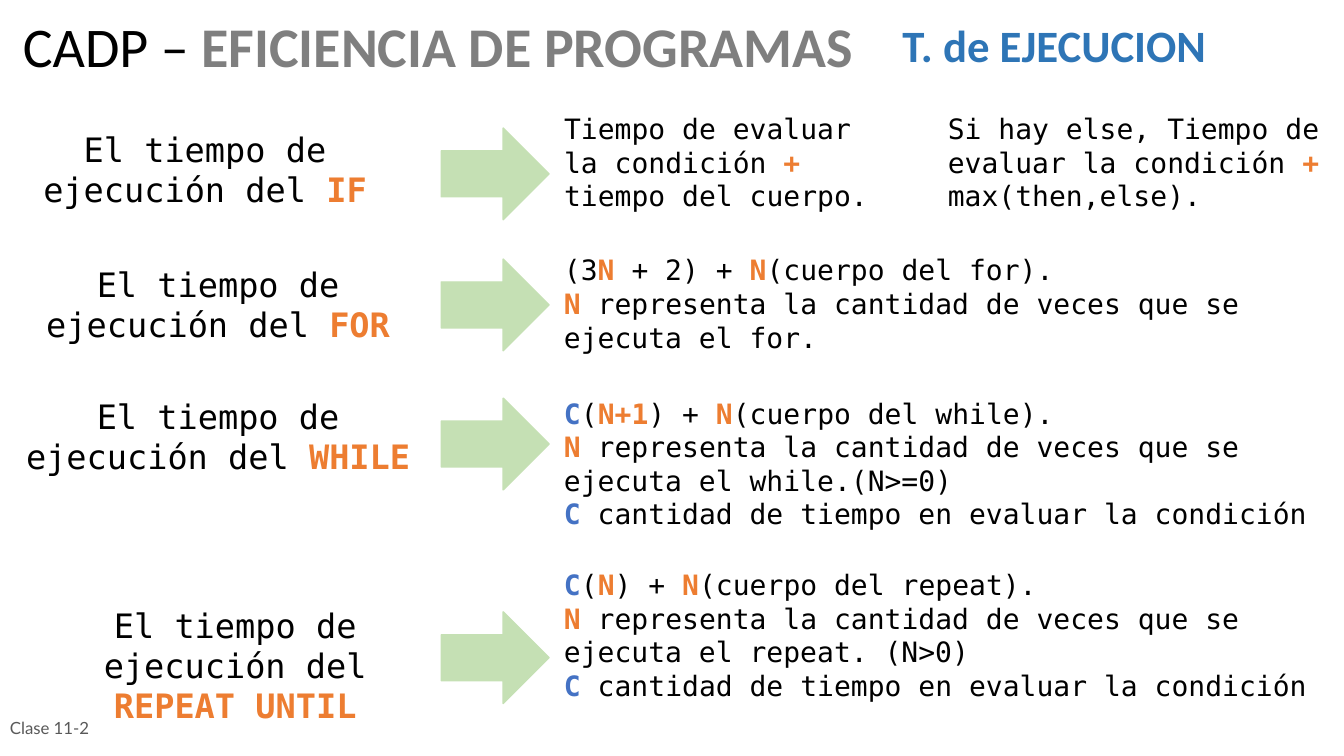
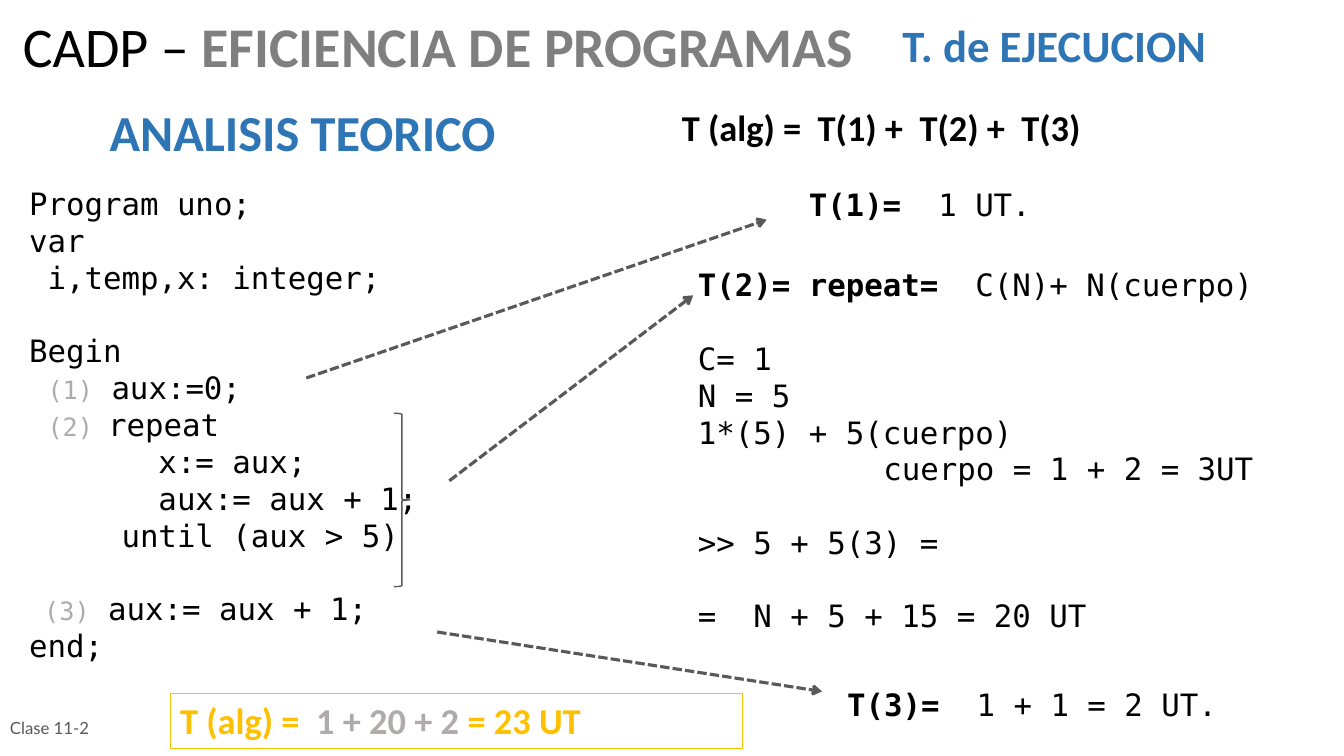
from dataclasses import dataclass
from typing import NamedTuple, Optional, Union

from lxml.etree import SubElement
from pptx import Presentation
from pptx.dml.color import RGBColor
from pptx.enum.dml import MSO_LINE as Dash
from pptx.enum.shapes import MSO_CONNECTOR as Link, MSO_SHAPE as Shape
from pptx.enum.text import MSO_ANCHOR as Anchor, PP_ALIGN as Align
from pptx.oxml.ns import qn
from pptx.util import Inches, Pt


@dataclass(frozen=True)
class Theme:
    """Fonts, colours and type sizes of both slides."""
    head: str = "Calibri"
    mono: str = "DejaVu Sans Mono"
    foot: str = "Lato"
    black: str = "000000"
    gray: str = "7F7F7F"
    pale: str = "AFABAB"
    dark: str = "595959"
    blue: str = "2E75B6"
    cost: str = "4472C4"
    orange: str = "ED7D31"
    green: str = "C5E0B4"
    gold: str = "FFC000"
    title: int = 40
    banner: int = 36
    topic: int = 32
    sum: int = 26
    lead: int = 24
    code: int = 22
    rule: int = 20
    mark: int = 18
    small: int = 12
    skip: int = 26  # height of one empty code line


THEME = Theme()


class Box(NamedTuple):
    left: float
    top: float
    width: float
    height: float


class Run(NamedTuple):
    text: str
    color: str
    bold: Optional[bool] = None
    size: Optional[int] = None


class Line(NamedTuple):
    pieces: tuple
    gap: float = 0
    indent: float = 0


class Rule(NamedTuple):
    """A statement, its arrow and the cost formulas beside it."""
    name: str
    label: Box
    arrow: float
    costs: tuple


class Arrow(NamedTuple):
    x1: float
    y1: float
    x2: float
    y2: float


def line(*pieces: Union[str, Run], gap: float = 0, indent: float = 0) -> Line:
    return Line(pieces, gap, indent)


def rgb(code: str) -> RGBColor:
    return RGBColor.from_string(code)


def place(box: Box) -> list:
    return [Inches(side) for side in box]


# Text and shapes

def write(shape, *lines: Line, size: int, font: str = THEME.mono,
          color: str = THEME.black, bold: bool = False, align=Align.LEFT,
          anchor=Anchor.TOP, pitch: float = 1.0) -> None:
    frame = shape.text_frame
    frame.word_wrap = True
    frame.vertical_anchor = anchor
    for index, item in enumerate(lines):
        para = frame.add_paragraph() if index else frame.paragraphs[0]
        para.alignment = align
        para.line_spacing = pitch
        if item.gap:
            para.space_before = Pt(item.gap)
        if item.indent:
            para._p.get_or_add_pPr().set("marL", str(Inches(item.indent)))
        for piece in item.pieces:
            if isinstance(piece, str):
                piece = Run(piece, color)
            run = para.add_run()
            run.text = piece.text
            run.font.name = font
            run.font.size = Pt(piece.size or size)
            run.font.bold = bold if piece.bold is None else piece.bold
            run.font.color.rgb = rgb(piece.color)


def label(slide, box: Box, *lines: Line, **style) -> None:
    write(slide.shapes.add_textbox(*place(box)), *lines, **style)


def draw(slide, kind, box: Box, edge: str, width: float,
         fill: Optional[str] = None):
    shape = slide.shapes.add_shape(kind, *place(box))
    shape.shadow.inherit = False
    if fill:
        shape.fill.solid()
        shape.fill.fore_color.rgb = rgb(fill)
    else:
        shape.fill.background()
    shape.line.color.rgb = rgb(edge)
    shape.line.width = Pt(width)
    return shape


def point(slide, arrow: Arrow) -> None:
    link = slide.shapes.add_connector(
        Link.STRAIGHT, *[Inches(side) for side in arrow])
    link.line.color.rgb = rgb(THEME.dark)
    link.line.width = Pt(2.25)
    link.line.dash_style = Dash.SQUARE_DOT
    SubElement(link.line._get_or_add_ln(), qn("a:tailEnd"), type="arrow")
    SubElement(link._element.spPr, qn("a:effectLst"))


def start(deck):
    """Add a slide with the shared title, topic and footer."""
    slide = deck.slides.add_slide(deck.slide_layouts[6])
    label(slide, Box(0.13, 0.14, 9.37, 0.76),
          line("CADP – ", Run("EFICIENCIA DE PROGRAMAS", THEME.gray, True)),
          size=THEME.title, font=THEME.head, pitch=0.9)
    label(slide, Box(0, 7.02, 2.33, 0.4), line("Clase 11-2"),
          size=THEME.small, font=THEME.foot, color=THEME.dark,
          anchor=Anchor.MIDDLE)
    label(slide, Box(8.86, 0.13, 3.4, 0.64), line("T. de EJECUCION"),
          size=THEME.topic, font=THEME.head, color=THEME.blue, bold=True)
    return slide


# Cost rules

def hot(text: str) -> Run:
    return Run(text, THEME.orange, True)


N = hot("N")
PLUS = hot("+")
C = Run("C", THEME.cost, True)
COUNT = " representa la cantidad de veces que se ejecuta el "
TEST = line(C, " cantidad de tiempo en evaluar la condición")

RULES = (
    Rule("IF", Box(0, 1.23, 4.07, 0.9), 1.27, (
        (Box(5.5, 1.06, 3.45, 1.1),
         line("Tiempo de evaluar la condición ", PLUS,
              " tiempo del cuerpo.")),
        (Box(9.31, 1.06, 3.89, 1.1),
         line("Si hay else, Tiempo de evaluar la condición ", PLUS,
              " max(then,else).")))),
    Rule("FOR", Box(0.13, 2.57, 4.07, 0.9), 2.57, (
        (Box(5.5, 2.46, 7.7, 1.1),
         line("(3", N, " + 2) + ", N, "(cuerpo del for)."),
         line(N, COUNT + "for.")),)),
    Rule("WHILE", Box(0.13, 3.88, 4.07, 0.9), 3.95, (
        (Box(5.5, 3.88, 7.73, 1.44),
         line(C, "(", hot("N+1"), ") + ", N, "(cuerpo del while)."),
         line(N, COUNT + "while.(N>=0)"), TEST),)),
    Rule("REPEAT UNTIL", Box(0.3, 5.95, 4.07, 1.3), 6.07, (
        (Box(5.5, 5.58, 7.7, 1.44),
         line(C, "(", N, ") + ", N, "(cuerpo del repeat)."),
         line(N, COUNT + "repeat. (N>0)"), TEST),)),
)


def rules(deck) -> None:
    slide = start(deck)
    for rule in RULES:
        label(slide, rule.label,
              line("El tiempo de ejecución del ", hot(rule.name)),
              size=THEME.lead, align=Align.CENTER)
        draw(slide, Shape.RIGHT_ARROW, Box(4.38, rule.arrow, 1.07, 0.91),
             THEME.green, 1, THEME.green)
        for box, *lines in rule.costs:
            label(slide, box, *lines, size=THEME.rule)


# Worked example

def mark(text: str) -> Run:
    return Run(text, THEME.pale, size=THEME.mark)


def strong(text: str) -> Run:
    return Run(text, THEME.black, True)


CODE = (
    line("Program uno;"),
    line("var"),
    line(" i,temp,x: integer;"),
    line("Begin", gap=THEME.skip),
    line(" ", mark("(1)"), " aux:=0;"),
    line(" ", mark("(2) "), "repeat"),
    line("       x:= aux;"),
    line("       aux:= aux + 1;"),
    line("     until (aux > 5)"),
    line(mark(" (3)"), " aux:= aux + 1;", gap=THEME.skip),
    line("end;"),
)
STEPS = (
    (Box(7.93, 1.79, 5.26, 0.47), line(strong("T(1)= "), " 1 UT.")),
    (Box(6.83, 2.59, 6.14, 3.77),
     line(strong("T(2)= repeat=  "), "C(N)+ N(cuerpo)"),
     line("C= 1", gap=THEME.skip),
     line("N = 5"),
     line("1*(5) + 5(cuerpo)"),
     line("cuerpo = 1 + 2 = 3UT", indent=1.84),
     line(">> 5 + 5(3) =", gap=THEME.skip),
     line("=  N + 5 + 15 = 20 UT", gap=THEME.skip)),
    (Box(8.31, 6.75, 5.04, 0.47), line(strong("T(3)= "), " 1 + 1 = 2 UT.")),
)
ARROWS = (
    Arrow(3.04, 3.75, 7.61, 2.18),
    Arrow(4.46, 4.77, 6.88, 2.93),
    Arrow(4.34, 6.27, 8.16, 6.86),
)


def example(deck) -> None:
    slide = start(deck)
    label(slide, Box(0.99, 0.95, 5.6, 0.7), line("ANALISIS TEORICO"),
          size=THEME.banner, font=THEME.head, color=THEME.blue, bold=True)
    label(slide, Box(0.19, 1.78, 6.48, 4.87), *CODE, size=THEME.code)

    # Total time, as a formula and as a result
    label(slide, Box(6.67, 0.99, 5.52, 0.54),
          line("T (alg) =  T(1) +  T(2) +  T(3)"),
          size=THEME.sum, font=THEME.head, bold=True)
    total = draw(slide, Shape.RECTANGLE, Box(1.69, 6.88, 5.68, 0.54),
                 THEME.gold, 0.5)
    write(total, line("T (alg) =  ", Run("1 + 20 + 2 ", THEME.pale),
                      "= 23 UT"),
          size=THEME.sum, font=THEME.head, color=THEME.gold, bold=True)

    # Steps, linked to the code
    for box, *lines in STEPS:
        label(slide, box, *lines, size=THEME.code)
    for arrow in ARROWS:
        point(slide, arrow)
    brace = draw(slide, Shape.RIGHT_BRACE, Box(3.91, 4.1, 0.16, 1.72),
                 THEME.dark, 1)
    brace.adjustments[0] = 0.06


def main() -> None:
    deck = Presentation()
    deck.slide_width = Inches(13.34)
    deck.slide_height = Inches(7.5)
    rules(deck)
    example(deck)
    deck.save("out.pptx")


if __name__ == "__main__":
    main()
